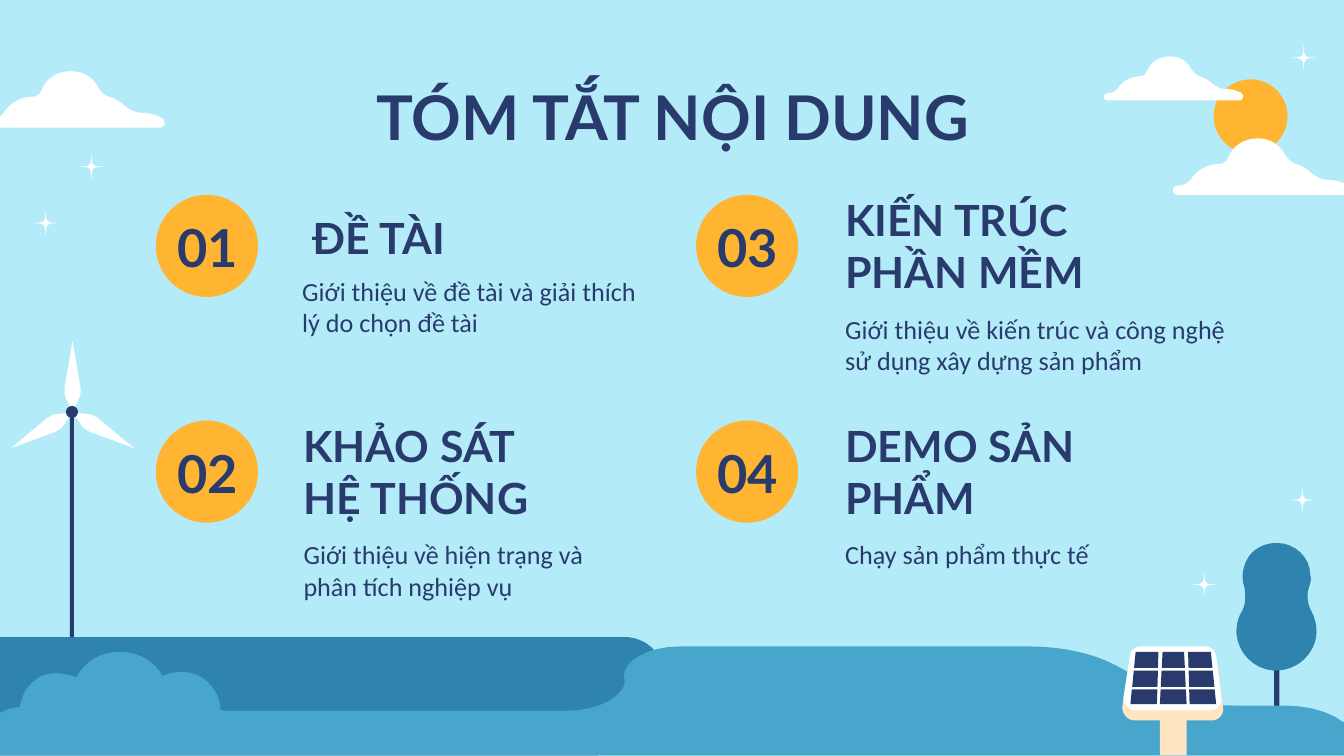
from math import cos, radians, sin

from pptx import Presentation
from pptx.dml.color import RGBColor
from pptx.enum.shapes import MSO_SHAPE
from pptx.enum.text import MSO_ANCHOR, PP_ALIGN
from pptx.util import Inches, Pt

OVAL, RECT = MSO_SHAPE.OVAL, MSO_SHAPE.RECTANGLE
TOP, MIDDLE, BOTTOM = MSO_ANCHOR.TOP, MSO_ANCHOR.MIDDLE, MSO_ANCHOR.BOTTOM
LEFT, CENTER = PP_ALIGN.LEFT, PP_ALIGN.CENTER

SKY = RGBColor(0xB4, 0xEB, 0xF9)
NAVY = RGBColor(0x29, 0x3B, 0x6D)
BLUE = RGBColor(0x2E, 0x84, 0xAF)
WATER = RGBColor(0x48, 0xA6, 0xCC)
SUN = RGBColor(0xFF, 0xB5, 0x31)
CREAM = RGBColor(0xFF, 0xE5, 0xC0)
WHITE = RGBColor(0xFF, 0xFF, 0xFF)

HEAD = {"name": "Lato", "size": Pt(33), "bold": True}
NUMBER = {**HEAD, "size": Pt(28)}
TOPIC = {**HEAD, "size": Pt(23)}
BODY = {"name": "Calibri", "size": Pt(14), "bold": False}

# Paths in inches: a pair is a line end, six numbers are a Bezier curve.
CLOUD = [
    (0.65, 0), (0.54, 0, 0.46, 0.06, 0.43, 0.14), (0.42, 0.17, 0.39, 0.19, 0.36, 0.19),
    (0.28, 0.19, 0.21, 0.23, 0.16, 0.29), (0.14, 0.33, 0.1, 0.35, 0.06, 0.35),
    (0, 0.35, 0.01, 0.42, 0.05, 0.42), (1.31, 0.42), (1.34, 0.42, 1.36, 0.38, 1.33, 0.35),
    (1.29, 0.33, 1.24, 0.31, 1.18, 0.31), (1.12, 0.31, 1.07, 0.28, 1.03, 0.24),
    (1, 0.22, 0.97, 0.2, 0.93, 0.19), (0.9, 0.18, 0.87, 0.15, 0.85, 0.12),
    (0.81, 0.04, 0.73, 0, 0.65, 0),
]
RAY = [(0, -0.5), (-0.02, -0.22), (-0.03, -0.11, -0.11, -0.03, -0.22, -0.02)]
BLADE = [
    (0, -0.53), (-0.06, -0.18), (-0.06, -0.15, -0.06, -0.13, -0.05, -0.11), (0, 0),
    (0.05, -0.11), (0.06, -0.13, 0.06, -0.15, 0.06, -0.18),
]
CROWN = [
    (9.5, 4.04), (9.42, 4.04, 9.35, 4.07, 9.3, 4.13), (9.25, 4.2, 9.23, 4.29, 9.26, 4.37),
    (9.27, 4.43, 9.27, 4.5, 9.24, 4.55), (9.21, 4.6, 9.2, 4.65, 9.2, 4.71),
    (9.21, 4.86, 9.33, 4.98, 9.48, 4.99), (9.6, 4.99, 9.69, 4.94, 9.75, 4.85),
    (9.81, 4.76, 9.81, 4.65, 9.76, 4.55), (9.73, 4.5, 9.72, 4.43, 9.74, 4.37),
    (9.75, 4.34, 9.76, 4.31, 9.75, 4.28), (9.75, 4.15, 9.64, 4.04, 9.5, 4.04),
]
SHORE = [
    (0, 4.74), (0, 5.04), (0.75, 5.04), (0.87, 5.04, 0.99, 5.09, 1.07, 5.17), (1.19, 5.28),
    (1.26, 5.35, 1.35, 5.39, 1.44, 5.39), (1.99, 5.39), (2.03, 5.39, 2.06, 5.42, 2.06, 5.46),
    (2.06, 5.54, 2.13, 5.61, 2.21, 5.61), (5.65, 5.61), (4.85, 4.82),
    (4.8, 4.77, 4.72, 4.74, 4.64, 4.74),
]
FIELD = [
    (5.06, 4.81), (4.83, 4.81, 4.64, 4.91, 4.64, 5.04), (4.65, 5.06),
    (4.65, 5.18, 4.46, 5.29, 4.21, 5.29), (0.91, 5.29), (0.81, 5.29, 0.71, 5.31, 0.64, 5.35),
    (0.5, 5.42), (0.44, 5.45, 0.37, 5.47, 0.28, 5.47), (0.13, 5.47),
    (0.01, 5.47, -0.09, 5.52, -0.09, 5.59), (-0.09, 5.62), (10.09, 5.62), (10.09, 5.53),
    (10.09, 5.38, 9.85, 5.25, 9.56, 5.25), (9.18, 5.25), (8.98, 5.25, 8.79, 5.21, 8.65, 5.14),
    (8.3, 4.95), (8.13, 4.86, 7.9, 4.81, 7.65, 4.81),
]
BUSH = [
    (0.89, 4.85), (0.75, 4.85, 0.63, 4.92, 0.57, 5.04), (0.51, 5.02, 0.46, 5.01, 0.42, 5.01),
    (0.37, 5.01, 0.33, 5.02, 0.29, 5.04), (0.21, 5.09, 0.16, 5.17, 0.15, 5.26),
    (-0.03, 5.27, -0.17, 5.42, -0.18, 5.6), (1.95, 5.6), (1.91, 5.44, 1.79, 5.32, 1.64, 5.28),
    (1.64, 5.18, 1.58, 5.09, 1.5, 5.04), (1.45, 5.01, 1.4, 5, 1.35, 5),
    (1.3, 5, 1.26, 5.01, 1.21, 5.03), (1.15, 4.92, 1.03, 4.85, 0.89, 4.85),
]
PANEL = [
    (0.13, 0), (0.09, 0, 0.06, 0.03, 0.05, 0.07), (0, 0.39), (0, 0.44, 0.04, 0.49, 0.09, 0.49),
    (0.67, 0.49), (0.72, 0.49, 0.76, 0.44, 0.75, 0.39), (0.71, 0.07),
    (0.7, 0.03, 0.67, 0, 0.63, 0),
]
# Left and right edge of each panel column: x at the top, and its slope.
COLUMNS = [((8.45, -0.1), (8.62, -0.03)), ((8.65, -0.05), (8.81, 0.05)), ((8.84, 0.03), (9.01, 0.1))]
ROWS = [(4.85, 4.97), (4.99, 5.11), (5.13, 5.24)]

# Number, column x, row y, topic and body boxes (x, y, width).
TOPICS = [
    ("01", 1.16, 1.45, "ĐỀ TÀI", (2.23, 1.25, 2.72),
     "Giới thiệu về đề tài và giải thích lý do chọn đề tài", (2.15, 1.95, 2.72)),
    ("02", 1.16, 3.13, "KHẢO SÁT\nHỆ THỐNG", (2.16, 3.18, 3.08),
     "Giới thiệu về hiện trạng và phân tích nghiệp vụ", (2.16, 3.91, 2.72)),
    ("03", 5.18, 1.45, "KIẾN TRÚC PHẦN MỀM", (6.19, 1.5, 2.72),
     "Giới thiệu về kiến trúc và công nghệ sử dụng xây dựng sản phẩm", (6.19, 2.23, 3.07)),
    ("04", 5.18, 3.13, "DEMO SẢN PHẨM", (6.19, 3.18, 2.72),
     "Chạy sản phẩm thực tế", (6.19, 3.91, 2.72)),
]


def turn(path, angle):
    """Rotate a path about its origin by an angle in degrees."""
    c, s = cos(radians(angle)), sin(radians(angle))
    return [tuple(v for x, y in zip(p[::2], p[1::2]) for v in (x * c - y * s, x * s + y * c))
            for p in path]


def flatten(path, steps=8):
    """Turn lines and curves into a list of points."""
    points = []
    for part in path:
        if len(part) == 2:
            points.append(part)
            continue
        start = points[-1]
        for t in (i / steps for i in range(1, steps + 1)):
            u = 1 - t
            points.append(tuple(
                u**3 * start[k] + 3 * u * u * t * part[k]
                + 3 * u * t * t * part[k + 2] + t**3 * part[k + 4] for k in (0, 1)))
    return points


def paint(shape, color):
    shape.shadow.inherit = False
    shape.fill.solid()
    shape.fill.fore_color.rgb = color
    shape.line.fill.background()


def draw(shapes, path, color, x=0, y=0, scale=1):
    points = [(Inches(x + px * scale), Inches(y + py * scale)) for px, py in flatten(path)]
    pen = shapes.build_freeform(*points[0])
    pen.add_line_segments(points[1:], close=True)
    paint(pen.convert_to_shape(), color)


def preset(shapes, kind, color, *box):
    paint(shapes.add_shape(kind, *map(Inches, box)), color)


def write(shapes, text, box, style, align=LEFT, anchor=TOP):
    frame = shapes.add_textbox(*map(Inches, box)).text_frame
    margins = dict.fromkeys(("margin_left", "margin_right", "margin_top", "margin_bottom"), Inches(0.1))
    layout = {"word_wrap": True, "vertical_anchor": anchor, **margins}
    for key, value in layout.items():
        setattr(frame, key, value)
    frame.text = text
    for para in frame.paragraphs:
        para.alignment = align
        for run in para.runs:
            for key, value in style.items():
                setattr(run.font, key, value)
            run.font.color.rgb = NAVY


def land(shapes):
    tree = shapes.add_group_shape().shapes
    preset(tree, RECT, NAVY, 9.48, 4.59, 0.04, 0.7)
    draw(tree, CROWN, BLUE)
    preset(shapes, RECT, BLUE, -0.09, 4.74, 4.54, 0.88)
    for path, color in ((SHORE, BLUE), (FIELD, WATER), (BUSH, WATER)):
        draw(shapes, path, color)


def stars(shapes):
    star = [part for i in range(4) for part in turn(RAY, -90 * i)]
    for x, y in ((0.68, 1.24), (0.34, 1.66), (9.7, 0.43), (9.69, 3.72), (8.96, 4.35)):
        draw(shapes, star, WHITE, x, y, 0.19)


def turbine(shapes):
    parts = shapes.add_group_shape().shapes
    for angle in (0, -120, 120):
        draw(parts, turn(BLADE, angle), WHITE, 0.54, 3.07)
    preset(parts, RECT, NAVY, 0.52, 3.09, 0.03, 1.65)
    preset(parts, OVAL, NAVY, 0.49, 3.02, 0.09, 0.09)


def solar(shapes):
    parts = shapes.add_group_shape().shapes
    draw(parts, PANEL, CREAM, 8.35, 4.87)
    draw(parts, PANEL, WHITE, 8.36, 4.81, 0.97)
    for top, low in ROWS:
        for left, right in COLUMNS:
            ends = ((left, top), (left, low), (right, low), (right, top))
            draw(parts, [(x + slope * (y - ROWS[0][0]), y) for (x, slope), y in ends], NAVY)
    preset(parts, RECT, CREAM, 8.63, 5.35, 0.2, 0.27)


def agenda(shapes):
    for number, x, y, topic, (tx, ty, tw), body, (bx, by, bw) in TOPICS:
        preset(shapes, OVAL, SUN, x, y, 0.76, 0.76)
        write(shapes, number, (x - 0.07, y + 0.14, 0.91, 0.49), NUMBER, CENTER, MIDDLE)
        write(shapes, topic, (tx, ty, tw, 0.81), TOPIC, anchor=BOTTOM)
        write(shapes, body, (bx, by, bw, 0.53), BODY)


def main():
    deck = Presentation()
    deck.slide_width = Inches(10)
    deck.slide_height = deck.slide_width * 9 // 16
    slide = deck.slides.add_slide(deck.slide_layouts[6])
    slide.background.fill.solid()
    slide.background.fill.fore_color.rgb = SKY
    shapes = slide.shapes
    land(shapes)
    stars(shapes)
    draw(shapes, CLOUD, WHITE, -0.12, 0.53)
    turbine(shapes)
    write(shapes, "TÓM TẮT NỘI DUNG", (0.79, 0.49, 8.43, 0.63), HEAD, CENTER)
    agenda(shapes)
    preset(shapes, OVAL, SUN, 9.03, 0.59, 0.55, 0.55)
    draw(shapes, CLOUD, WHITE, 8.71, 1.03)
    draw(shapes, CLOUD, WHITE, 8.2, 0.42, 0.78)
    solar(shapes)
    deck.save("out.pptx")


if __name__ == "__main__":
    main()
